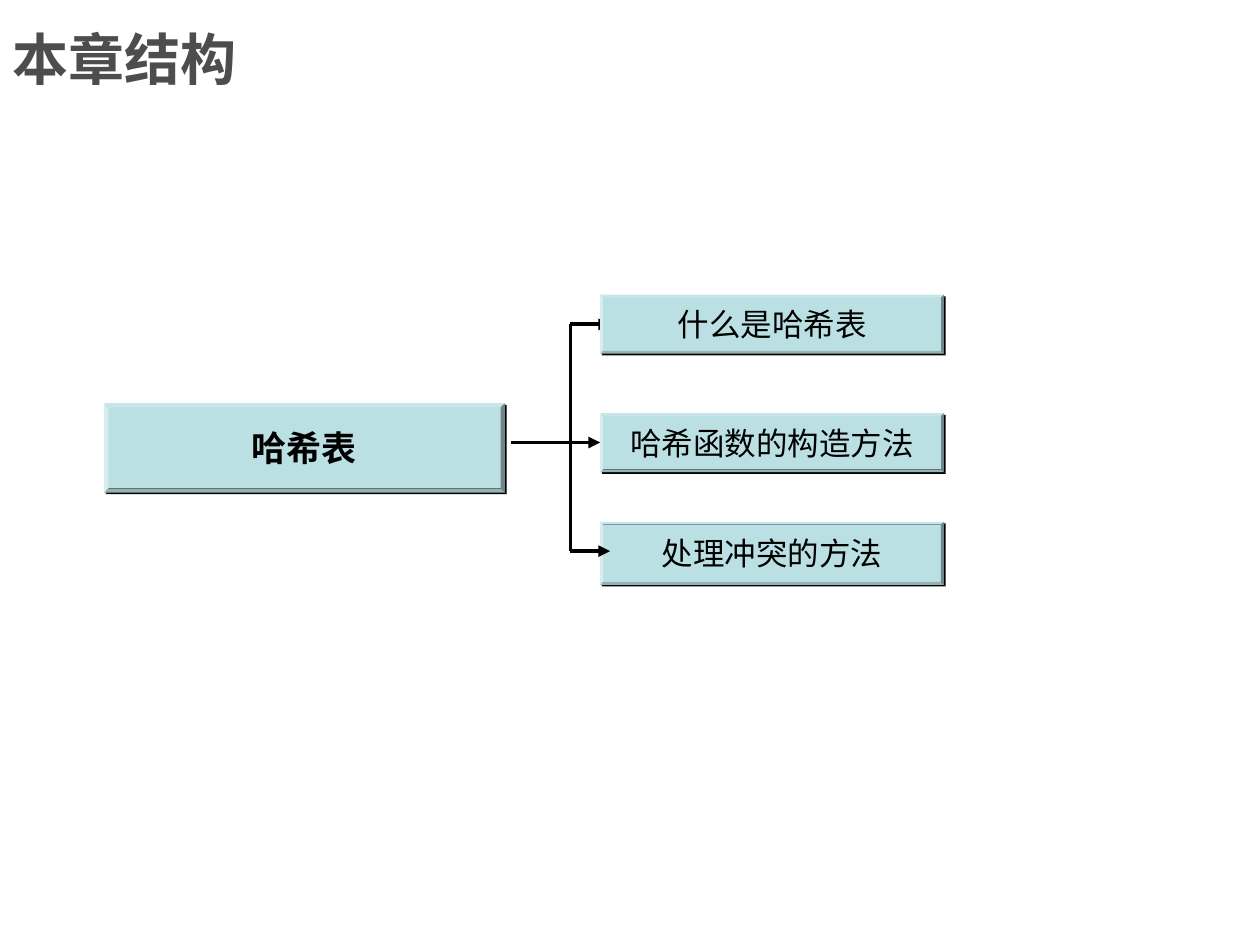
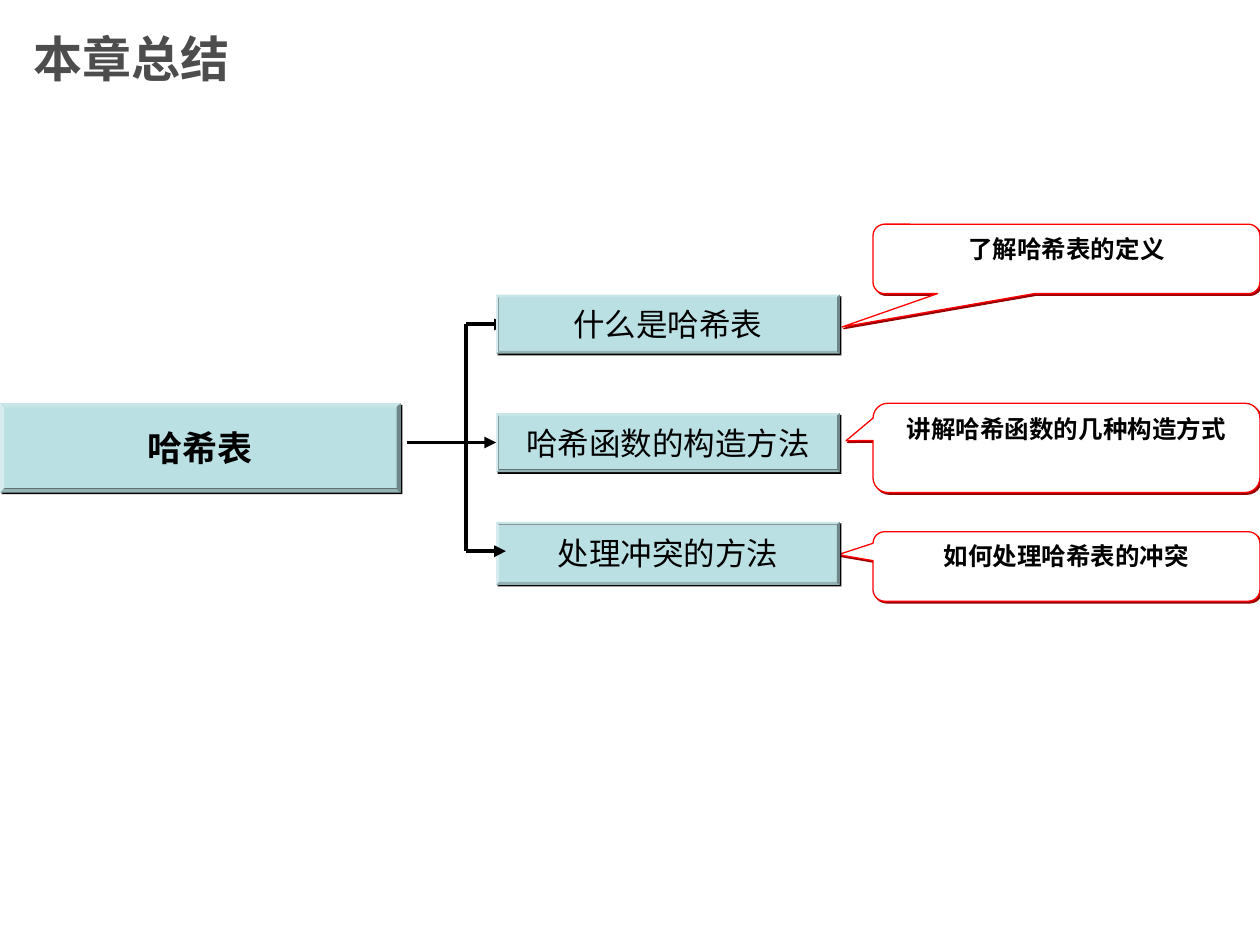
from lxml import etree
from pptx import Presentation
from pptx.dml.color import RGBColor
from pptx.enum.shapes import MSO_CONNECTOR, MSO_SHAPE
from pptx.enum.text import MSO_ANCHOR, PP_ALIGN
from pptx.oxml.ns import qn
from pptx.util import Cm, Pt

BEVEL = MSO_SHAPE.BEVEL
CALLOUT = MSO_SHAPE.ROUNDED_RECTANGULAR_CALLOUT
STRAIGHT = MSO_CONNECTOR.STRAIGHT
TOP, MIDDLE = MSO_ANCHOR.TOP, MSO_ANCHOR.MIDDLE
LEFT, CENTER = PP_ALIGN.LEFT, PP_ALIGN.CENTER

BLACK = RGBColor(0x00, 0x00, 0x00)
WHITE = RGBColor(0xFF, 0xFF, 0xFF)
GRAY = RGBColor(0x4D, 0x4D, 0x4D)
TEAL = RGBColor(0xBB, 0xE0, 0xE3)
RED = RGBColor(0xFF, 0x00, 0x00)
DARK_RED = RGBColor(0x99, 0x00, 0x00)

CHINESE_FONT = "Noto Sans CJK SC"
TITLE_FONT = {"name": "Arial", "bold": True}
ROOT_FONT = {"name": CHINESE_FONT, "size": Pt(20), "bold": True}
BRANCH_FONT = {"name": CHINESE_FONT, "size": Pt(18), "bold": False}
NOTE_FONT = {"name": "Arial Narrow", "size": Pt(14), "bold": True}

# Horizontal positions in cm, measured from the left edge of the root box
STEM_START, TRUNK, BRANCH_LEFT = 8.2, 9.4, 10
ROOT_TOP, ROOT_WIDTH, ROOT_HEIGHT = 8.13, 8.08, 1.8
BRANCH_WIDTH = 6.93
ARROW_LENGTH = 0.8
TRUNK_TOP, STEM_Y, TRUNK_BOTTOM = 6.54, 8.92, 11.11

# Text, top, height
BRANCHES = [
    ("什么是哈希表", 5.94, 1.19),
    ("哈希函数的构造方法", 8.33, 1.19),
    ("处理冲突的方法", 10.52, 1.27),
]
# Text, top, height, pointer tip relative to the callout's centre
NOTES = [
    ("了解哈希表的定义", 4.52, 1.4, (-0.58, 0.98)),
    ("讲解哈希函数的几种构造方式", 8.13, 1.8, (-0.57, -0.08)),
    ("如何处理哈希表的冲突", 10.72, 1.4, (-0.59, -0.17)),
]
NOTE_LEFT, NOTE_WIDTH = 17.6, 7.8
CORNER = 0.167


def set_text(frame, text, font, color, align, space_before=0):
    para = frame.paragraphs[0]
    para.alignment = align
    para.space_before = Pt(space_before)
    span = para.add_run()
    span.text = text
    for key, value in font.items():
        setattr(span.font, key, value)
    span.font.color.rgb = color
    latin = span.font._element.find(qn("a:latin"))
    east_asian = etree.Element(qn("a:ea"), typeface=CHINESE_FONT)
    latin.addnext(east_asian)


def add_hard_shadow(shape, color):
    """Give the shape an unblurred shadow to the lower right."""
    shape.shadow.inherit = False
    effects = shape._element.spPr.find(qn("a:effectLst"))
    shadow = etree.SubElement(effects, qn("a:outerShdw"), blurRad="0",
                              dist=str(Pt(1.4)), dir="2700000", algn="ctr",
                              rotWithShape="0")
    etree.SubElement(shadow, qn("a:srgbClr"), val=str(color))


def add_block(slide, kind, place, adjustments, fill, shadow):
    shape = slide.shapes.add_shape(kind, *(Cm(value) for value in place))
    for index, value in enumerate(adjustments):
        shape.adjustments[index] = value
    shape.fill.solid()
    shape.fill.fore_color.rgb = fill
    add_hard_shadow(shape, shadow)
    return shape


def add_bevel(slide, text, place, font, space_before):
    box = add_block(slide, BEVEL, place, [0.047], TEAL, BLACK)
    box.line.fill.background()
    box.text_frame.word_wrap = False
    box.text_frame.vertical_anchor = MIDDLE
    set_text(box.text_frame, text, font, BLACK, CENTER, space_before)


def add_note(slide, text, top, height, tip):
    place = (NOTE_LEFT, top, NOTE_WIDTH, height)
    note = add_block(slide, CALLOUT, place, [*tip, CORNER], WHITE, DARK_RED)
    note.line.color.rgb = RED
    note.line.width = Pt(0.75)
    note.text_frame.word_wrap = True
    note.text_frame.vertical_anchor = TOP
    set_text(note.text_frame, text, NOTE_FONT, BLACK, CENTER)


def add_line(slide, start, end, arrow=False):
    line = slide.shapes.add_connector(
        STRAIGHT, *(Cm(value) for value in (*start, *end)))
    line.line.color.rgb = BLACK
    line.line.width = Pt(2.25)
    if arrow:
        etree.SubElement(line.line._get_or_add_ln(), qn("a:tailEnd"),
                         type="triangle")
    etree.SubElement(line._element.spPr, qn("a:effectLst"))


def add_tree(slide, left):
    """Draw the root box, its three branches and the lines between them."""
    trunk, branch_left = left + TRUNK, left + BRANCH_LEFT

    def add_branch(text, top, height):
        add_bevel(slide, text, (branch_left, top, BRANCH_WIDTH, height),
                  BRANCH_FONT, 11.2)

    def add_arrow(start, y):
        add_line(slide, (start, y), (start + ARROW_LENGTH, y), arrow=True)

    first, second, third = BRANCHES
    add_branch(*third)
    add_bevel(slide, "哈希表", (left, ROOT_TOP, ROOT_WIDTH, ROOT_HEIGHT),
              ROOT_FONT, 12.5)
    add_line(slide, (trunk, TRUNK_TOP), (trunk, TRUNK_BOTTOM))
    add_line(slide, (left + STEM_START, STEM_Y), (trunk, STEM_Y))
    add_arrow(trunk, TRUNK_BOTTOM)
    add_branch(*second)
    add_arrow(branch_left - ARROW_LENGTH, STEM_Y)
    add_arrow(trunk, TRUNK_TOP)
    add_branch(*first)


def add_titled_slide(deck, text, left, size):
    slide = deck.slides.add_slide(deck.slide_layouts[5])
    title = slide.shapes.title
    place = {"left": Cm(left), "top": Cm(0),
             "width": Cm(19.05), "height": Cm(2.33)}
    for key, value in place.items():
        setattr(title, key, value)
    title.text_frame.vertical_anchor = MIDDLE
    set_text(title.text_frame, text, {**TITLE_FONT, "size": Pt(size)},
             GRAY, LEFT)
    return slide


def main():
    deck = Presentation()
    deck.slide_width, deck.slide_height = Cm(25.4), Cm(19.05)

    structure = add_titled_slide(deck, "本章结构", 0, 32)
    add_tree(structure, 2.1)

    summary = add_titled_slide(deck, "本章总结", 0.43, 28)
    for note in NOTES:
        add_note(summary, *note)
    add_tree(summary, 0)

    deck.save("out.pptx")


if __name__ == "__main__":
    main()
